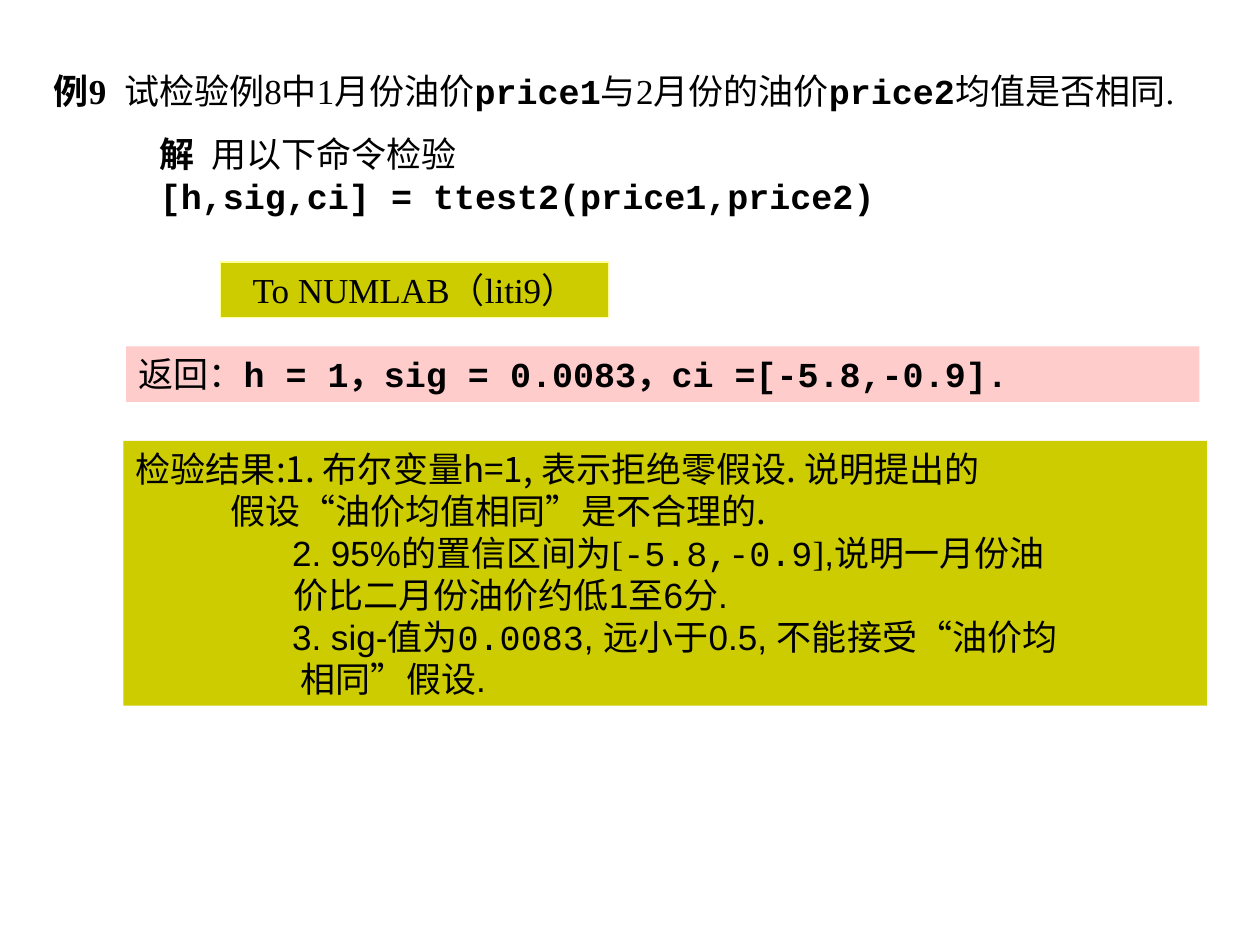
from pptx import Presentation
from pptx.dml.color import RGBColor
from pptx.enum.shapes import MSO_SHAPE
from pptx.enum.text import MSO_ANCHOR, PP_ALIGN
from pptx.util import Inches, Pt
from lxml import etree

NS = "http://schemas.openxmlformats.org/drawingml/2006/main"
TIMES, COURIER, ARIAL, NOTO = "Times New Roman", "Courier New", "Arial", "Noto Sans CJK SC"


def rgb(value):
    return RGBColor.from_string(value)


def add_text(sp, lines, align=PP_ALIGN.LEFT):
    tf = sp.text_frame
    tf.word_wrap = True
    tf.vertical_anchor = MSO_ANCHOR.TOP
    for i, (indent, runs) in enumerate(lines):
        p = tf.paragraphs[0] if i == 0 else tf.add_paragraph()
        p.alignment = align
        pPr = p._p.get_or_add_pPr()
        pPr.set("marL", str(Inches(indent)))
        pPr.set("indent", "0")
        for text, font, bold in runs:
            r = p.add_run()
            r.text = text
            r.font.size = Pt(20)
            r.font.name = font
            r.font.bold = bold
            r.font.color.rgb = rgb("000000")
            rPr = r._r.get_or_add_rPr()
            etree.SubElement(rPr, f"{{{NS}}}ea", typeface=NOTO)
            if text == " ":
                rPr.set("spc", "500")


prs = Presentation()
prs.slide_width = Inches(10)
prs.slide_height = Inches(7.5)
s = prs.slides.add_slide(prs.slide_layouts[6])

returned = [(0, [("返回：", TIMES, False),
                 ("h = 1，sig = 0.0083，ci =[-5.8,-0.9].", COURIER, True)])]
results = [
    (0, [("检验结果:1. 布尔变量h=1, 表示拒绝零假设. 说明提出的", NOTO, False)]),
    (0.75, [("假设", NOTO, False), ("“", COURIER, False), ("油价均值相同", NOTO, False),
            ("”", COURIER, False), ("是不合理的.", NOTO, False)]),
    (1.24, [("2. 95%的置信区间为", ARIAL, False), ("[", TIMES, False),
            ("-5.8,-0.9", COURIER, False), ("]", TIMES, False),
            (",说明一月份油", ARIAL, False)]),
    (1.25, [("价比二月份油价约低1至6分.", ARIAL, False)]),
    (1.24, [("3. sig-值为", ARIAL, False), ("0.0083", COURIER, False),
            (", 远小于0.5, 不能接受“油价均", ARIAL, False)]),
    (1.31, [("相同”假设.", ARIAL, False)]),
]
button = [(0, [("To NUMLAB（liti9）", TIMES, False)])]

for x, y, w, h, fill, line, align, lines in [
    (1, 2.75, 8.52, 0.44, "FFCCCC", None, PP_ALIGN.LEFT, returned),
    (0.98, 3.5, 8.6, 2.1, "CCCC00", None, PP_ALIGN.LEFT, results),
    (1.75, 2.08, 3.08, 0.44, "CCCC00", "FFFF99", PP_ALIGN.CENTER, button),
]:
    sp = s.shapes.add_shape(MSO_SHAPE.RECTANGLE, Inches(x), Inches(y), Inches(w), Inches(h))
    sp.shadow.inherit = False
    sp.fill.solid()
    sp.fill.fore_color.rgb = rgb(fill)
    if line:
        sp.line.color.rgb = rgb(line)
        sp.line.width = Pt(0.75)
    else:
        sp.line.fill.background()
    add_text(sp, lines, align)

question = [(0, [("例9", TIMES, True), (" ", TIMES, True), ("试检验例8中1月份油价", TIMES, False),
                 ("price1", COURIER, True), ("与2月份的油价", TIMES, False),
                 ("price2", COURIER, True), ("均值是否相同.", TIMES, False)])]
solution = [(0, [("解", NOTO, True), (" ", NOTO, True), ("用以下命令检验", NOTO, False)]),
            (0, [("[h,sig,ci] = ttest2(price1,price2)", COURIER, True)])]

for x, y, w, h, lines in [(0.33, 0.5, 9.67, 0.77, question), (1.17, 1, 8.27, 0.77, solution)]:
    sp = s.shapes.add_textbox(Inches(x), Inches(y), Inches(w), Inches(h))
    add_text(sp, lines)

prs.save("out.pptx")
